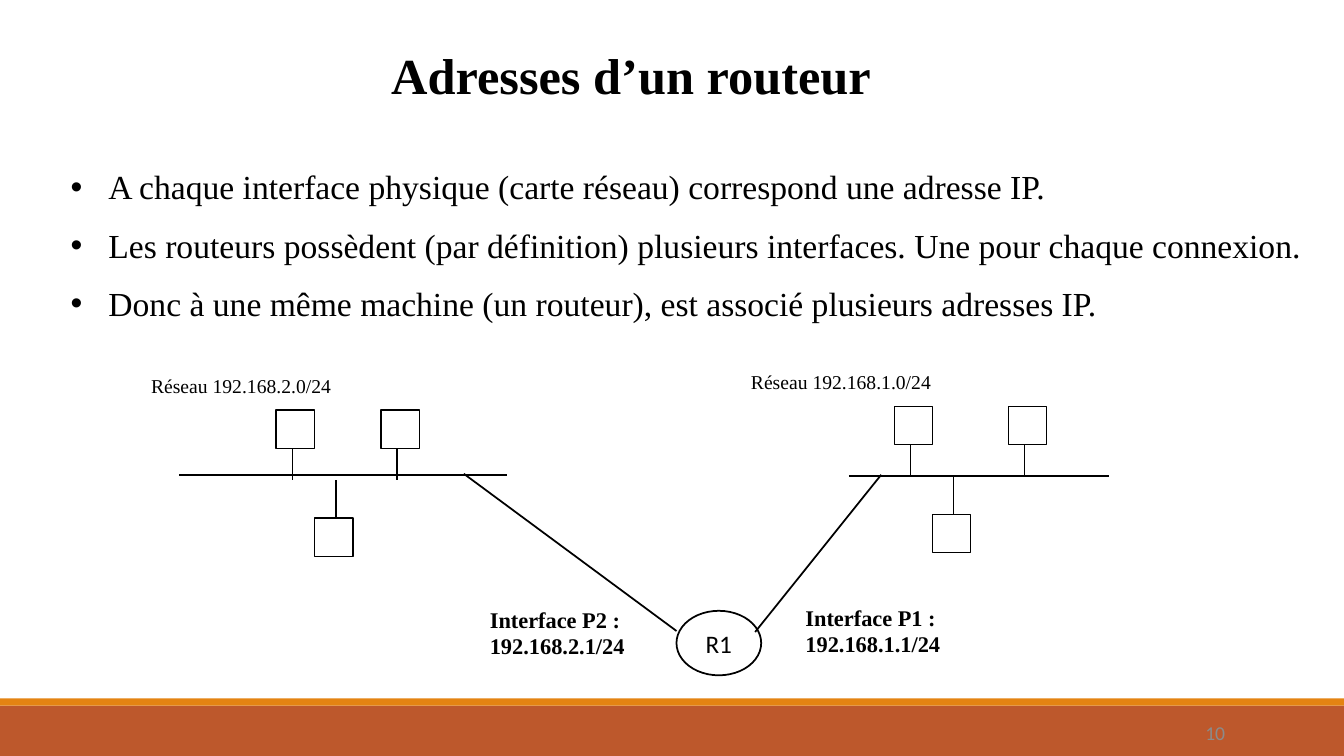
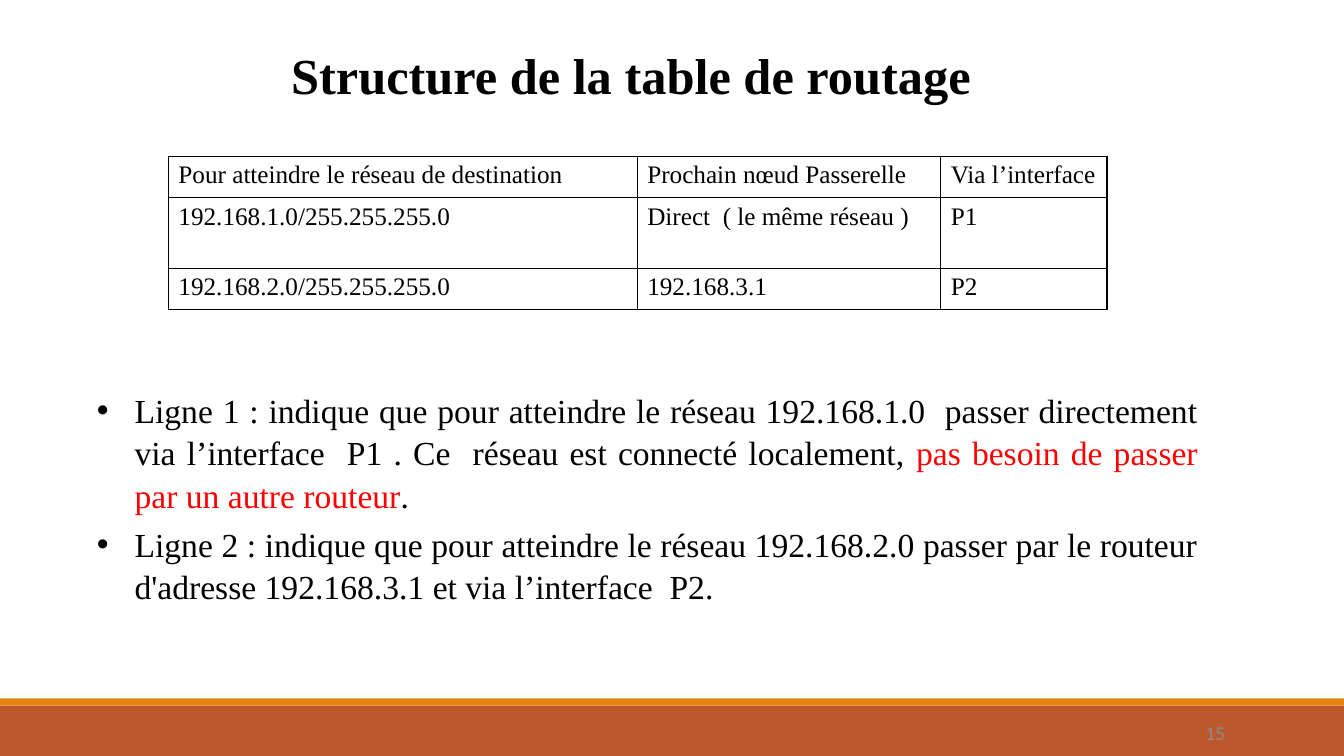
from lxml import etree
from pptx import Presentation
from pptx.dml.color import RGBColor
from pptx.enum import shapes, text
from pptx.oxml import ns
from pptx.util import Inches, Pt

SERIF, SANS = "Times New Roman", "Calibri"
BLACK, WHITE, RED, GREY = "000000", "FFFFFF", "FF0000", "8B8B8B"
RUST, ORANGE = "BD582C", "E48312"


def rgb(value):
    return RGBColor.from_string(value)


def box(*lengths):
    return [Inches(v) for v in lengths]


def add_run(p, words, size, color=BLACK, bold=False, font=SERIF):
    r = p.add_run()
    r.text = words
    r.font.name, r.font.size, r.font.bold = font, Pt(size), bold
    r.font.color.rgb = rgb(color)


def add_shape(s, kind, at, fill=None, line=None, weight=1.25):
    sp = s.shapes.add_shape(kind, *box(*at))
    sp.shadow.inherit = False
    if fill:
        sp.fill.solid()
        sp.fill.fore_color.rgb = rgb(fill)
    else:
        sp.fill.background()
    if line:
        sp.line.color.rgb = rgb(line)
        sp.line.width = Pt(weight)
    else:
        sp.line.fill.background()
    return sp


def add_line(s, start, end, weight=1.25):
    line = s.shapes.add_connector(shapes.MSO_CONNECTOR.STRAIGHT, *box(*start, *end))
    line.line.color.rgb = rgb(BLACK)
    line.line.width = Pt(weight)
    etree.SubElement(line.element.spPr, ns.qn("a:effectLst"))


def add_label(s, at, lines, size, align=text.PP_ALIGN.LEFT, **style):
    tf = s.shapes.add_textbox(*box(*at)).text_frame
    tf.word_wrap = True
    for i, words in enumerate(lines):
        p = tf.add_paragraph() if i else tf.paragraphs[0]
        p.alignment = align
        add_run(p, words, size, **style)


def add_master_bands(prs, s):
    """Draw the footer bands on a slide, then move them to the master."""
    tree = prs.slide_master.shapes.element
    bands = [((0, 7, 13.33, 0.5), RUST), ((0, 6.93, 13.33, 0.07), ORANGE)]
    for i, (at, color) in enumerate(bands):
        sp = add_shape(s, shapes.MSO_SHAPE.RECTANGLE, at, color)
        sp.element.xpath(".//p:cNvPr")[0].set("id", str(100 + i))
        tree.insert(2 + i, sp.element)


def add_slide(prs, title, number):
    s = prs.slides.add_slide(prs.slide_layouts[1])
    sp = s.shapes.title
    sp.left, sp.top, sp.width, sp.height = box(2.26, 0.39, 8, 0.71)
    tf = sp.text_frame
    tf.vertical_anchor = text.MSO_ANCHOR.TOP
    tf.auto_size = text.MSO_AUTO_SIZE.NONE
    p = tf.paragraphs[0]
    p.alignment = text.PP_ALIGN.CENTER
    add_run(p, title, 36, bold=True)
    add_label(s, (11.25, 7.1, 1, 0.33), [number], 14, text.PP_ALIGN.RIGHT,
              color=GREY, font=SANS)
    return s


def fill_body(s, at, items, gap):
    """Fill the bullet list; each item is a list of (words, colour) runs."""
    sp = s.placeholders[1]
    sp.left, sp.top, sp.width, sp.height = box(*at)
    tf = sp.text_frame
    tf.auto_size = text.MSO_AUTO_SIZE.NONE
    for i, runs in enumerate(items):
        p = tf.add_paragraph() if i else tf.paragraphs[0]
        p.alignment = text.PP_ALIGN.JUSTIFY
        p.line_spacing = 1.05
        p.space_before = Pt(gap if i else 0)
        for words, color in runs:
            add_run(p, words, 24, color)


def add_network(s, left, middle, pitch, bus, weight):
    """Two hosts above a bus and one below; stubs meet at height middle."""
    side, stub = 0.38, 0.31
    hosts = [
        (left, middle - stub - side, 0.16, middle - stub),
        (left + pitch, middle - stub - side, 0.16, middle - stub),
        (left + 0.38, middle + side, 0.21, middle + side),
    ]
    for x, y, shift, stub_end in hosts:
        add_shape(s, shapes.MSO_SHAPE.RECTANGLE, (x, y, side, side), WHITE, BLACK, weight)
        add_line(s, (x + shift, stub_end), (x + shift, middle), weight)
    start, end, y = bus
    add_line(s, (start, y), (end, y))


def add_router(s, x, y):
    sp = add_shape(s, shapes.MSO_SHAPE.OVAL, (x, y, 0.84, 0.64), line=BLACK)
    sp.text_frame.vertical_anchor = text.MSO_ANCHOR.MIDDLE
    p = sp.text_frame.paragraphs[0]
    p.alignment = text.PP_ALIGN.CENTER
    add_run(p, "R1", 18, font=SANS)
    add_line(s, (4.6, 4.7), (x, y + 0.2))
    add_line(s, (x + 0.78, y + 0.21), (8.74, 4.71))


def add_cell_borders(cell):
    tc_pr = cell._tc.get_or_add_tcPr()
    for i, edge in enumerate("LRTB"):
        ln = etree.Element(ns.qn(f"a:ln{edge}"), w=str(Pt(1)))
        fill = etree.SubElement(ln, ns.qn("a:solidFill"))
        etree.SubElement(fill, ns.qn("a:srgbClr"), val=BLACK)
        tc_pr.insert(i, ln)


def add_table(s, x, y, widths, heights, rows):
    at = box(x, y, sum(widths), sum(heights))
    table = s.shapes.add_table(len(rows), len(widths), *at).table
    for column, width in zip(table.columns, widths):
        column.width = Inches(width)
    for i, (height, row) in enumerate(zip(heights, rows)):
        table.rows[i].height = Inches(height)
        for j, words in enumerate(row):
            cell = table.cell(i, j)
            cell.fill.solid()
            cell.fill.fore_color.rgb = rgb(WHITE)
            add_cell_borders(cell)
            add_run(cell.text_frame.paragraphs[0], words, 18)


def build_router_slide(prs):
    s = add_slide(prs, "Adresses d’un routeur", "10")
    add_master_bands(prs, s)
    fill_body(s, (0.6, 1.58, 12.62, 1.7), [
        [("A chaque interface physique (carte réseau) correspond une adresse IP.", BLACK)],
        [("Les routeurs possèdent (par définition) plusieurs interfaces. "
          "Une pour chaque connexion.", BLACK)],
        [("Donc à une même machine (un routeur), est associé plusieurs adresses IP.", BLACK)],
    ], gap=11.5)
    add_network(s, 2.74, 4.76, 1.04, (1.78, 5.03, 4.71), 1.25)
    add_network(s, 8.87, 4.72, 1.13, (8.42, 11, 4.72), 0.75)
    add_router(s, 6.71, 6.06)
    add_label(s, (1.4, 3.66, 2.2, 0.34), ["Réseau 192.168.2.0/24"], 14)
    add_label(s, (7.35, 3.62, 2.2, 0.34), ["Réseau 192.168.1.0/24"], 14)
    add_label(s, (4.76, 5.96, 1.75, 0.64), ["Interface P2 :", "192.168.2.1/24"], 16, bold=True)
    add_label(s, (7.89, 5.94, 1.75, 0.64), ["Interface P1 :", "192.168.1.1/24"], 16, bold=True)


def build_routing_table_slide(prs):
    s = add_slide(prs, "Structure de la table de routage", "15")
    add_table(s, 1.67, 1.55, [4.65, 3.01, 1.65], [0.41, 0.7, 0.41], [
        ["Pour atteindre le réseau de destination", "Prochain nœud Passerelle", "Via l’interface"],
        ["192.168.1.0/255.255.255.0", "Direct  ( le même réseau )", "P1"],
        ["192.168.2.0/255.255.255.0", "192.168.3.1", "P2"],
    ])
    fill_body(s, (0.86, 3.8, 11.12, 2.2), [
        [("Ligne 1 : indique que pour atteindre le réseau 192.168.1.0  passer directement "
          "via l’interface  P1 . Ce  réseau est connecté localement, ", BLACK),
         ("pas besoin de passer par un autre routeur", RED), (".", BLACK)],
        [("Ligne 2 : indique que pour atteindre le réseau 192.168.2.0 passer par le routeur "
          "d'adresse 192.168.3.1 et via l’interface  P2.", BLACK)],
    ], gap=4.8)


def main():
    prs = Presentation()
    prs.slide_width, prs.slide_height = box(13.33, 7.5)
    build_router_slide(prs)
    build_routing_table_slide(prs)
    prs.save("out.pptx")


if __name__ == "__main__":
    main()
